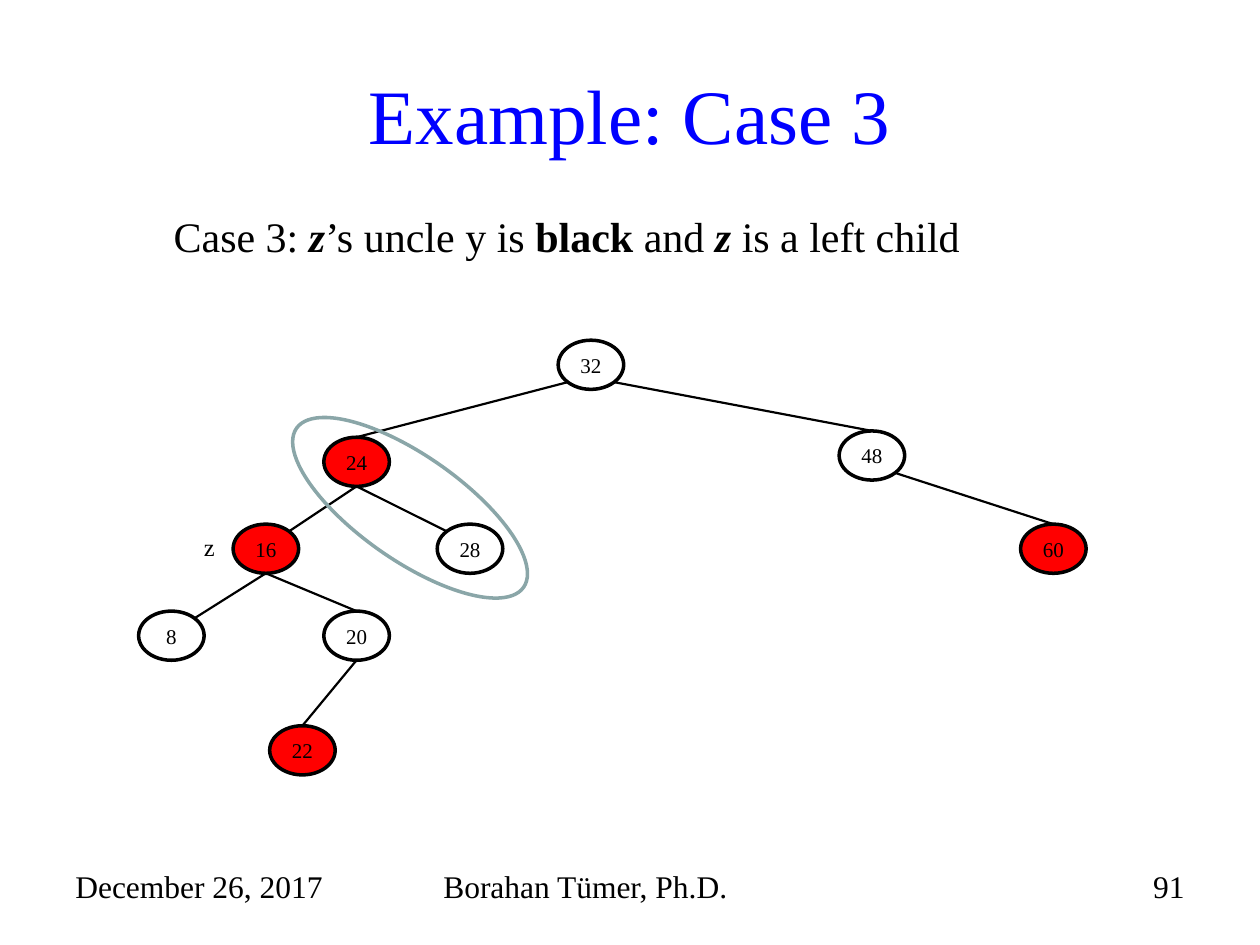
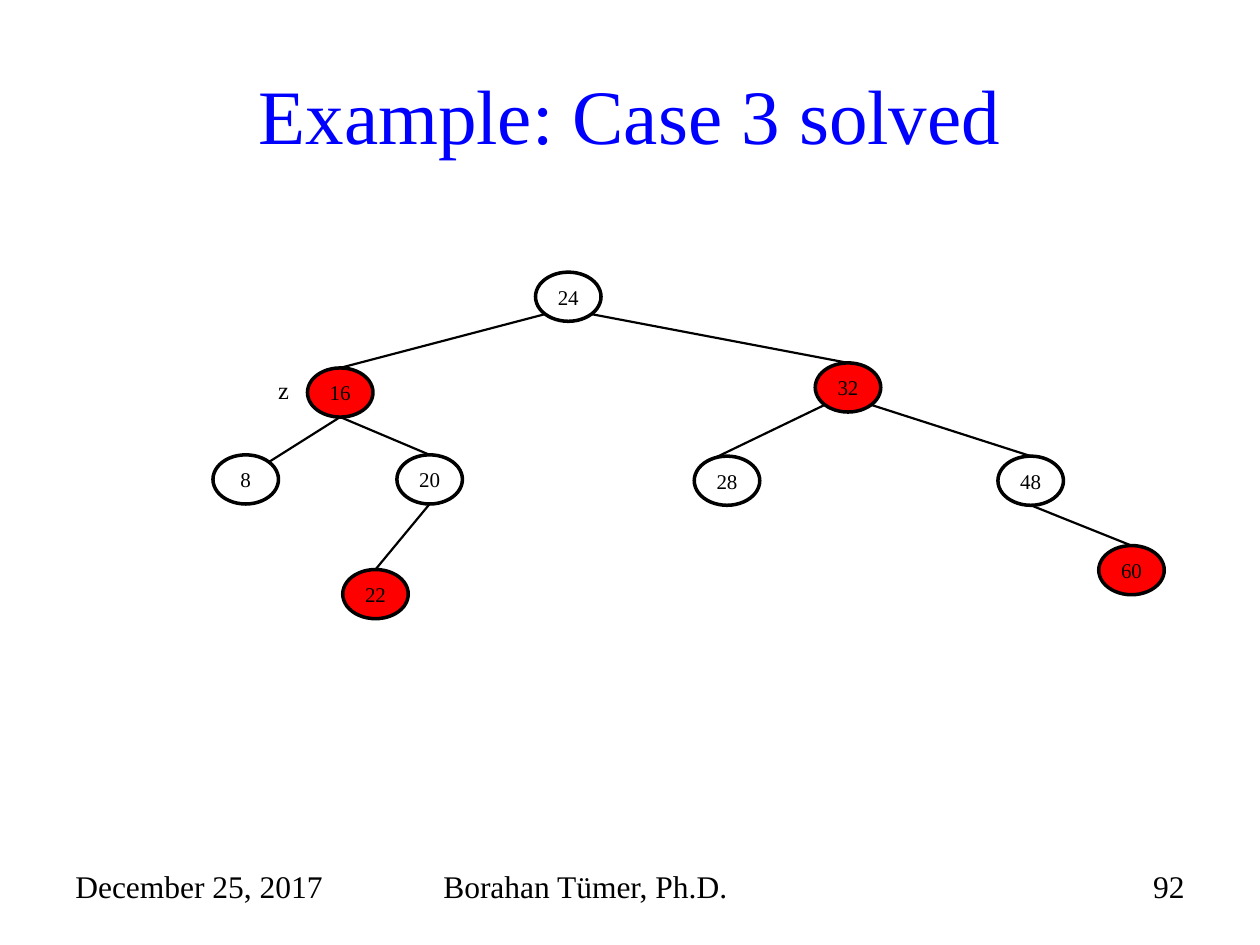
from lxml import etree
from pptx import Presentation
from pptx.dml.color import RGBColor
from pptx.enum.shapes import MSO_CONNECTOR, MSO_SHAPE
from pptx.enum.text import MSO_ANCHOR, PP_ALIGN
from pptx.oxml.ns import qn
from pptx.util import Inches, Pt

LEFT, CENTER, RIGHT = PP_ALIGN.LEFT, PP_ALIGN.CENTER, PP_ALIGN.RIGHT
TOP, MIDDLE = MSO_ANCHOR.TOP, MSO_ANCHOR.MIDDLE
ELLIPSE, STRAIGHT = MSO_SHAPE.OVAL, MSO_CONNECTOR.STRAIGHT

FONT = "Times New Roman"
BLUE = RGBColor(0x00, 0x00, 0xFF)
BLACK = RGBColor(0x00, 0x00, 0x00)
RED = RGBColor(0xFF, 0x00, 0x00)
GRAY_GREEN = RGBColor(0x8A, 0xA6, 0xA8)

NODE_WIDTH, NODE_HEIGHT = 0.52, 0.39
DIAGONAL = 0.71
# Points on a node's outline, as fractions of its half width and half height
SITES = {
    "top": (0, -1),
    "bottom": (0, 1),
    "top left": (-DIAGONAL, -DIAGONAL),
    "top right": (DIAGONAL, -DIAGONAL),
    "bottom left": (-DIAGONAL, DIAGONAL),
    "bottom right": (DIAGONAL, DIAGONAL),
}

# Nodes: key -> (left, top, is red); edges: parent, its site, child, its site
SLIDES = [
    {
        "title": "Example: Case 3",
        "date": "December 26, 2017",
        "number": "91",
        "z label": (1.52, 4.17),
        "nodes": {
            32: (4.43, 2.7, False), 24: (2.57, 3.47, True), 48: (6.66, 3.42, False),
            16: (1.85, 4.16, True), 28: (3.47, 4.16, False), 60: (8.1, 4.16, True),
            8: (1.1, 4.85, False), 20: (2.57, 4.85, False), 22: (2.14, 5.76, True),
        },
        "edges": [
            (32, "bottom left", 24, "top"), (32, "bottom right", 48, "top"),
            (24, "bottom", 16, "top right"), (24, "bottom", 28, "top left"),
            (48, "bottom right", 60, "top"),
            (16, "bottom", 8, "top right"), (16, "bottom", 20, "top"),
            (20, "bottom", 22, "top"),
        ],
    },
    {
        "title": "Example: Case 3 solved",
        "date": "December 25, 2017",
        "number": "92",
        "z label": (2.11, 2.93),
        "nodes": {
            24: (4.25, 2.16, False), 16: (2.44, 2.92, True), 32: (6.47, 2.88, True),
            8: (1.69, 3.61, False), 20: (3.15, 3.61, False), 28: (5.51, 3.62, False),
            48: (7.92, 3.62, False), 22: (2.72, 4.52, True), 60: (8.72, 4.33, True),
        },
        "edges": [
            (24, "bottom left", 16, "top"), (24, "bottom right", 32, "top"),
            (16, "bottom", 8, "top right"), (16, "bottom", 20, "top"),
            (32, "bottom left", 28, "top left"), (32, "bottom right", 48, "top"),
            (20, "bottom", 22, "top"), (48, "bottom", 60, "top"),
        ],
    },
]


def write(shape, text, size, color=BLACK, align=LEFT, anchor=TOP):
    """Fill a shape with one paragraph; text is a string or (text, bold, italic) runs."""
    frame = shape.text_frame
    frame.word_wrap = True
    frame.vertical_anchor = anchor
    paragraph = frame.paragraphs[0]
    paragraph.alignment = align
    runs = [(text, False, False)] if isinstance(text, str) else text
    for run_text, bold, italic in runs:
        run = paragraph.add_run()
        run.text = run_text
        font = run.font
        font.name, font.size, font.color.rgb = FONT, Pt(size), color
        font.bold, font.italic = bold, italic
    return paragraph


def add_ellipse(slide, box, line_color, fill_color=None):
    shape = slide.shapes.add_shape(ELLIPSE, *map(Inches, box))
    shape.shadow.inherit = False
    shape.line.color.rgb = line_color
    shape.line.width = Pt(2)
    if fill_color is None:
        shape.fill.background()
    else:
        shape.fill.solid()
        shape.fill.fore_color.rgb = fill_color
    return shape


presentation = Presentation()
presentation.slide_width, presentation.slide_height = Inches(10), Inches(7.5)

for content in SLIDES:
    slide = presentation.slides.add_slide(presentation.slide_layouts[5])

    # Title
    title = slide.shapes.title
    title.left, title.top, title.width, title.height = map(Inches, (0.5, 0.28, 9, 1.25))
    write(title, content["title"], size=44, color=BLUE, align=CENTER, anchor=MIDDLE)

    # Footer
    footers = [
        (0.5, 2.33, content["date"], LEFT),
        (3.42, 3.17, "Borahan Tümer, Ph.D.", LEFT),
        (7.17, 2.33, content["number"], RIGHT),
    ]
    for left, width, text, align in footers:
        footer = slide.shapes.add_textbox(*map(Inches, (left, 6.83, width, 0.52)))
        write(footer, text, size=18, align=align)

    # Tree edges
    for parent, parent_site, child, child_site in content["edges"]:
        points = []
        for key, site in ((parent, parent_site), (child, child_site)):
            left, top, _ = content["nodes"][key]
            across, down = SITES[site]
            points.append(Inches(left + NODE_WIDTH / 2 * (1 + across)))
            points.append(Inches(top + NODE_HEIGHT / 2 * (1 + down)))
        edge = slide.shapes.add_connector(STRAIGHT, *points)
        edge.line.color.rgb = BLACK
        edge.line.width = Pt(1.25)
        etree.SubElement(edge._element.spPr, qn("a:effectLst"))

    # Tree nodes
    for key, (left, top, is_red) in content["nodes"].items():
        box = (left, top, NODE_WIDTH, NODE_HEIGHT)
        node = add_ellipse(slide, box, BLACK, RED if is_red else None)
        frame = node.text_frame
        frame.margin_left = frame.margin_right = frame.margin_top = frame.margin_bottom = 0
        write(node, str(key), size=12, align=CENTER, anchor=MIDDLE)

    # Label of the node z
    z_label = slide.shapes.add_textbox(*map(Inches, (*content["z label"], 0.52, 0.34)))
    write(z_label, "z", size=14)

# Case description and the ring around nodes 24 and 28
case_slide = presentation.slides[0]
ring = add_ellipse(case_slide, (2.84, 2.93, 0.83, 2.2), GRAY_GREEN)
ring.rotation = 305

description = case_slide.shapes.add_textbox(*map(Inches, (0.78, 1.62, 8.52, 0.5)))
description_runs = [
    ("Case 3: ", False, False), ("z", True, True),
    ("’s uncle y is ", False, False), ("black", True, False),
    (" and ", False, False), ("z", True, True), (" is a left child", False, False),
]
paragraph = write(description, description_runs, size=24)
paragraph.level = 1
properties = paragraph._p.get_or_add_pPr()
properties.set("marL", str(Inches(0.5)))
properties.set("indent", "0")

presentation.save("out.pptx")
